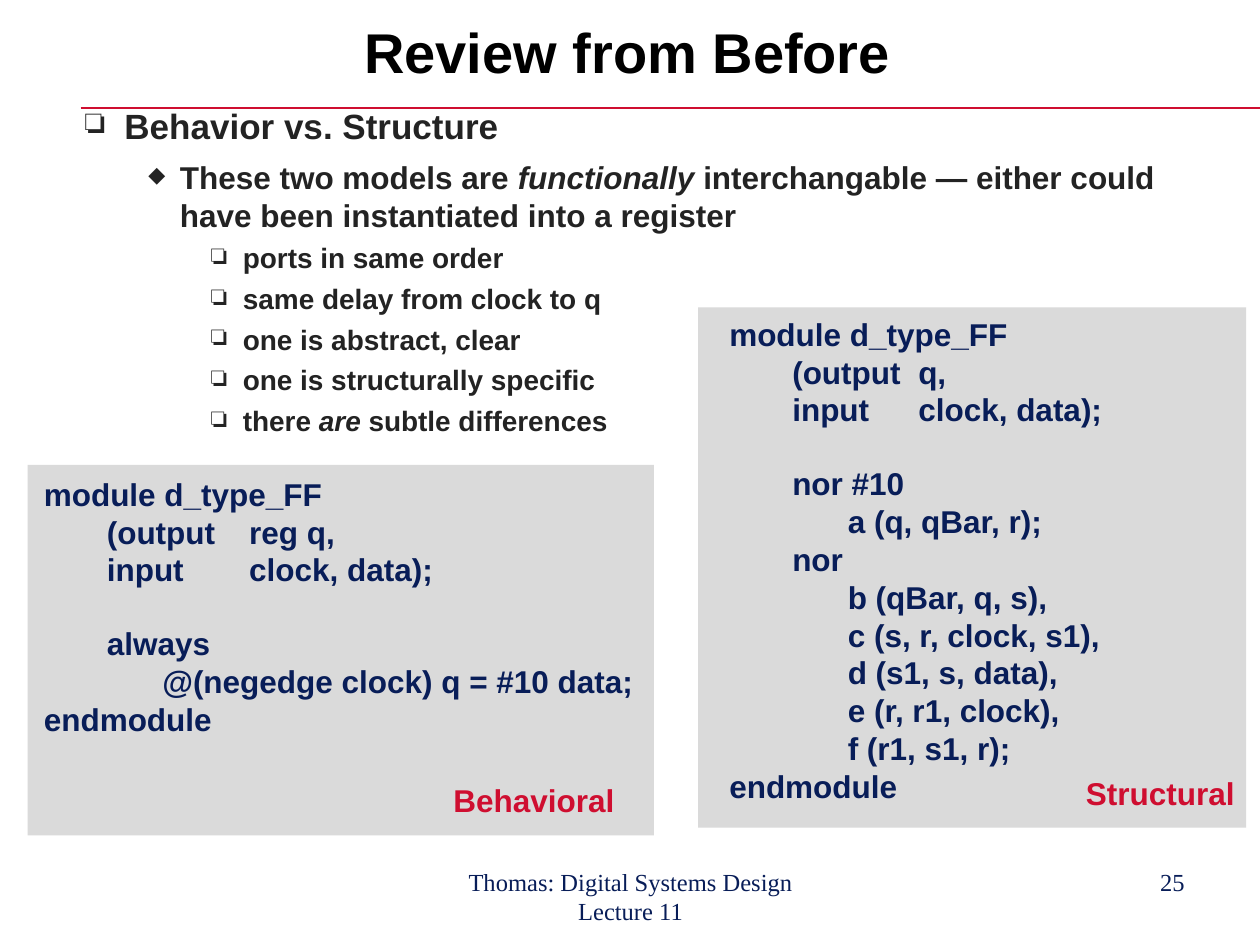
from dataclasses import dataclass
from typing import Any

from lxml import etree
from pptx import Presentation
from pptx.dml.color import RGBColor
from pptx.enum import shapes, text
from pptx.oxml import ns
from pptx.util import Inches, Pt

COLORS = {
    "rule": "CF0E30",
    "title": "000000",
    "body": "232323",
    "panel": "DADADA",
    "code": "081D58",
}
ALIGN = text.PP_ALIGN
CODE_LINE = 20.7

OUTLINE = [
    (0, ["Behavior vs. Structure"]),
    (1, ["These two models are ", "functionally",
         " interchangable — either could have been instantiated into a register"]),
    (2, ["ports in same order"]),
    (2, ["same delay from clock to q"]),
    (2, ["one is abstract, clear"]),
    (2, ["one is structurally specific"]),
    (2, ["there ", "are", " subtle differences"]),
]
LEVELS = [
    dict(left=0.31, hang=0.31, size=20, before=7.5, spacing=1, mark="❏", scale=100),
    dict(left=0.75, hang=0.25, size=18, before=6.8, spacing=1, mark="◆", scale=70),
    dict(left=1.25, hang=0.25, size=16, before=6, spacing=0.9, mark="❏", scale=100),
]

BEHAVIORAL = """module d_type_FF
\t(output\treg q,
\tinput\tclock, data);

\talways
\t\t@(negedge clock) q = #10 data;
endmodule"""

STRUCTURAL = """module d_type_FF
\t(output\tq,
\tinput\tclock, data);

\tnor #10
\t\ta (q, qBar, r);
\tnor
\t\tb (qBar, q, s),
\t\tc (s, r, clock, s1),
\t\td (s1, s, data),
\t\te (r, r1, clock),
\t\tf (r1, s1, r);
endmodule"""


@dataclass
class SlideWriter:
    page: Any
    heading_font: str = "Arial"
    footer_font: str = "Times New Roman"

    def color(self, name):
        return RGBColor.from_string(COLORS[name])

    def element(self, parent, tag, **attributes):
        return etree.SubElement(parent, ns.qn(tag), attributes)

    def style(self, para, size, color, bold=True, font=None):
        para.font.name = font or self.heading_font
        para.font.size = Pt(size)
        para.font.bold = bold
        para.font.color.rgb = self.color(color)

    def frame(self, left, top, width, height):
        box = self.page.shapes.add_textbox(
            Inches(left), Inches(top), Inches(width), Inches(height))
        box.text_frame.word_wrap = True
        return box.text_frame

    def paragraphs(self, frame, items):
        for index, item in enumerate(items):
            yield (frame.add_paragraph() if index else frame.paragraphs[0]), item

    def label(self, words, place, size, color, align=ALIGN.LEFT, spacing=1,
              bold=True, font=None):
        para = self.frame(*place).paragraphs[0]
        para.text = words
        para.alignment = align
        para.line_spacing = spacing
        self.style(para, size, color, bold, font)

    def footer(self, words, place, align):
        self.label(words, place, 14, "code", align, bold=False, font=self.footer_font)

    def rule(self, start, end, y):
        line = self.page.shapes.add_connector(
            shapes.MSO_CONNECTOR.STRAIGHT,
            Inches(start), Inches(y), Inches(end), Inches(y))
        line.line.color.rgb = self.color("rule")
        line.line.width = Pt(1)
        self.element(line._element.spPr, "a:effectLst")

    def panel(self, left, top, width, height):
        panel = self.page.shapes.add_shape(
            shapes.MSO_SHAPE.RECTANGLE,
            Inches(left), Inches(top), Inches(width), Inches(height))
        panel.shadow.inherit = False
        panel.fill.solid()
        panel.fill.fore_color.rgb = self.color("panel")
        panel.line.fill.background()

    def outline(self, items, place):
        frame = self.frame(*place)
        for para, (depth, pieces) in self.paragraphs(frame, items):
            level = LEVELS[depth]
            para.level = depth
            props = para._p.get_or_add_pPr()
            props.set("marL", str(Inches(level["left"])))
            props.set("indent", str(-Inches(level["hang"])))
            tint = self.element(props, "a:buClr")
            self.element(tint, "a:srgbClr", val=COLORS["body"])
            self.element(props, "a:buSzPct", val=str(level["scale"] * 1000))
            self.element(props, "a:buChar", char=level["mark"])
            para.line_spacing = level["spacing"]
            if para is not frame.paragraphs[0] and depth:
                para.space_before = Pt(level["before"])
            self.style(para, level["size"], "body")
            for index, piece in enumerate(pieces):
                span = para.add_run()
                span.text = piece
                if index % 2:
                    span.font.italic = True

    def code(self, source, place, stops):
        header, body = source.split("\n\n")
        header, body = header.split("\n"), body.split("\n")
        frame = self.frame(*place)
        for para, (index, line) in self.paragraphs(frame, enumerate(header + body)):
            para.text = line
            tabs = self.element(para._p.get_or_add_pPr(), "a:tabLst")
            for stop in stops:
                self.element(tabs, "a:tab", pos=str(Inches(stop)), algn="l")
            if index == len(header):
                para.space_before = Pt(CODE_LINE)
            self.style(para, 18, "code")


def main():
    deck = Presentation()
    deck.slide_width, deck.slide_height = Inches(10), Inches(7.5)
    writer = SlideWriter(deck.slides.add_slide(deck.slide_layouts[6]))

    writer.rule(0.64, 10, 0.86)
    writer.label("Review from Before", (0.68, 0.17, 8.6, 0.51), 32, "title",
                 ALIGN.CENTER, spacing=0.85)
    writer.outline(OUTLINE, (0.58, 0.78, 8.83, 5.75))

    writer.panel(0.22, 3.69, 4.97, 2.94)
    writer.code(BEHAVIORAL, (0.25, 3.72, 5.26, 2.2), (0.5, 0.94, 1.63))
    writer.label("Behavioral", (3.5, 6.15, 1.6, 0.4), 18, "rule")

    writer.panel(5.54, 2.44, 4.35, 4.13)
    writer.code(STRUCTURAL, (5.69, 2.45, 3.3, 4), (0.5, 0.94, 1.5))
    writer.label("Structural", (8.52, 6.09, 1.45, 0.4), 18, "rule")

    writer.footer("Thomas: Digital Systems Design Lecture 11",
                  (3.42, 6.83, 3.17, 0.52), ALIGN.CENTER)
    writer.footer("25", (7.17, 6.83, 2.33, 0.52), ALIGN.RIGHT)
    deck.save("out.pptx")


if __name__ == "__main__":
    main()
